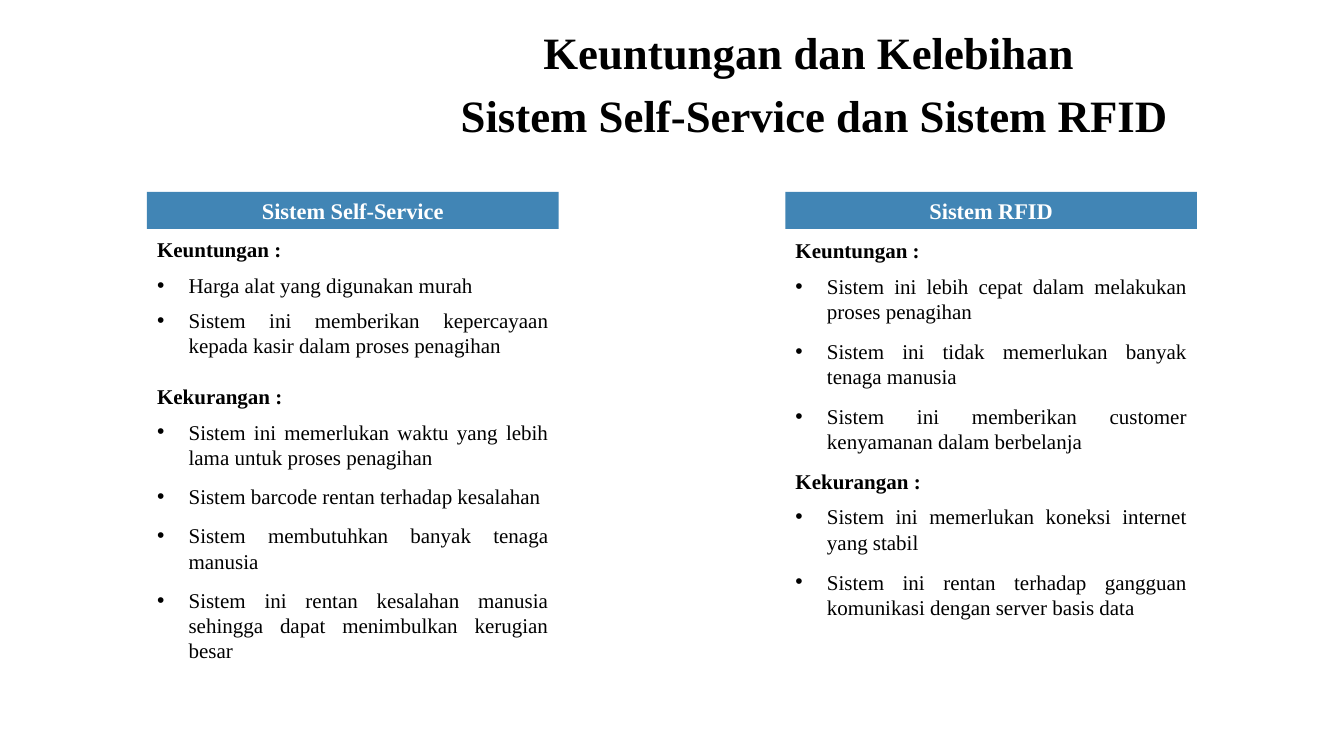
import pptx
import pptx.util
import pptx.dml.color
import pptx.enum.shapes
import pptx.enum.text
import pptx.oxml.ns
import lxml.etree

Pt = pptx.util.Pt
ALIGN = pptx.enum.text.PP_ALIGN
ANCHOR = pptx.enum.text.MSO_ANCHOR

COLORS = {"bar": "4185B5", "dark": "000000", "light": "FFFFFF"}
FONT = "Times New Roman"
WIDE = 294
INDENT = 22.5

# Each row: text, kind, space before
LEFT = [
    ("Keuntungan :", "head", 0),
    ("Harga alat yang digunakan murah", "item", 7.3),
    ("Sistem ini memberikan kepercayaan kepada kasir dalam proses penagihan", "item", 7.3),
    ("Kekurangan :", "head", 18.3),
    ("Sistem ini memerlukan waktu yang lebih lama untuk proses penagihan", "item", 7.3),
    ("Sistem barcode rentan terhadap kesalahan", "item", 10),
    ("Sistem membutuhkan banyak tenaga manusia", "item", 10),
    ("Sistem ini rentan kesalahan manusia sehingga dapat menimbulkan kerugian besar", "item", 10),
]
RIGHT = [
    ("Keuntungan :", "head", 0),
    ("Sistem ini lebih cepat dalam melakukan proses penagihan", "item", 7.3),
    ("Sistem ini tidak memerlukan banyak tenaga manusia", "item", 10.5),
    ("Sistem ini memberikan customer kenyamanan dalam berbelanja", "item", 10.5),
    ("Kekurangan :", "head", 10.5),
    ("Sistem ini memerlukan koneksi internet yang stabil", "item", 7.3),
    ("Sistem ini rentan terhadap gangguan komunikasi dengan server basis data", "item", 10.5),
]


def apply(target, values):
    for name, value in values.items():
        setattr(target, name, value)


class Maker:
    def __init__(self, slide):
        self.slide = slide

    def color(self, name):
        return pptx.dml.color.RGBColor.from_string(COLORS[name])

    def place(self, shape, left, top, width, height):
        apply(shape, {"left": Pt(left), "top": Pt(top),
                      "width": Pt(width), "height": Pt(height)})

    def frame(self, shape, anchor):
        apply(shape.text_frame, {"word_wrap": True, "vertical_anchor": anchor,
                                 "auto_size": pptx.enum.text.MSO_AUTO_SIZE.NONE})
        return shape.text_frame

    def label(self, para, text, size, bold, color, form):
        run = para.add_run()
        run.text = text
        apply(run.font, {"name": FONT, "size": Pt(size), "bold": bold})
        run.font.color.rgb = self.color(color)
        apply(para, form)

    def lines(self, frame, count):
        for _ in range(count - 1):
            frame.add_paragraph()
        return frame.paragraphs

    def bullet(self, para, shown):
        props = para._p.get_or_add_pPr()
        props.set("marL", str(Pt(INDENT if shown else 0)))
        props.set("indent", str(Pt(-INDENT if shown else 0)))
        tag = "a:buChar" if shown else "a:buNone"
        mark = lxml.etree.SubElement(props, pptx.oxml.ns.qn(tag))
        if shown:
            mark.set("char", "•")

    def title(self, texts, *box):
        shape = self.slide.shapes.title
        self.place(shape, *box)
        paras = self.lines(self.frame(shape, ANCHOR.TOP), len(texts))
        for para, text in zip(paras, texts):
            self.label(para, text, 32, True, "dark",
                       {"alignment": ALIGN.CENTER, "line_spacing": 0.9,
                        "space_before": Pt(10)})

    def bar(self, text, *box):
        kind = pptx.enum.shapes.MSO_SHAPE.RECTANGLE
        shape = self.slide.shapes.add_shape(kind, *map(Pt, box))
        shape.shadow.inherit = False
        shape.fill.solid()
        shape.fill.fore_color.rgb = self.color("bar")
        shape.line.fill.background()
        frame = self.frame(shape, ANCHOR.MIDDLE)
        self.label(frame.paragraphs[0], text, 16, True, "light",
                   {"alignment": ALIGN.CENTER})

    def body(self, index, rows, *box):
        shape = self.slide.placeholders[index]
        self.place(shape, *box)
        paras = self.lines(self.frame(shape, ANCHOR.TOP), len(rows))
        for para, (text, kind, gap) in zip(paras, rows):
            self.label(para, text, 15, kind == "head", "dark",
                       {"alignment": ALIGN.JUSTIFY, "space_before": Pt(gap)})
            self.bullet(para, kind == "item")


def main():
    deck = pptx.Presentation()
    apply(deck, {"slide_width": Pt(960), "slide_height": Pt(540)})
    two_lists = deck.slide_layouts[3]
    maker = Maker(deck.slides.add_slide(two_lists))

    # Title
    maker.title(["Keuntungan dan Kelebihan ", "Sistem Self-Service dan Sistem RFID"],
                126, 18.7, 911.5, 91.4)

    # Two columns: bar above list
    columns = [("Sistem Self-Service", LEFT, 105, 165.6, 310),
               ("Sistem RFID", RIGHT, 561, 166.3, 279)]
    for index, (name, rows, left, top, height) in enumerate(columns, 1):
        maker.bar(name, left, 137, WIDE, 26.6)
        maker.body(index, rows, left, top, WIDE, height)

    deck.save("out.pptx")


if __name__ == "__main__":
    main()
